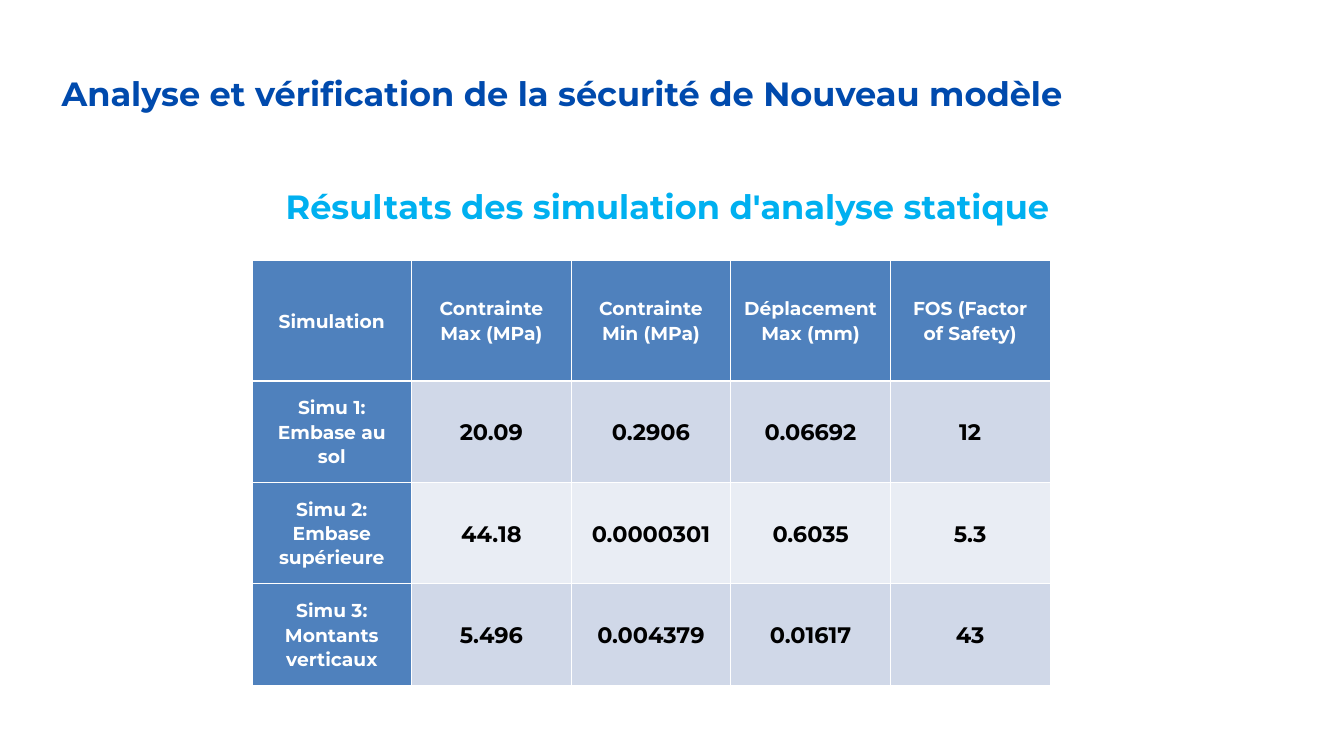
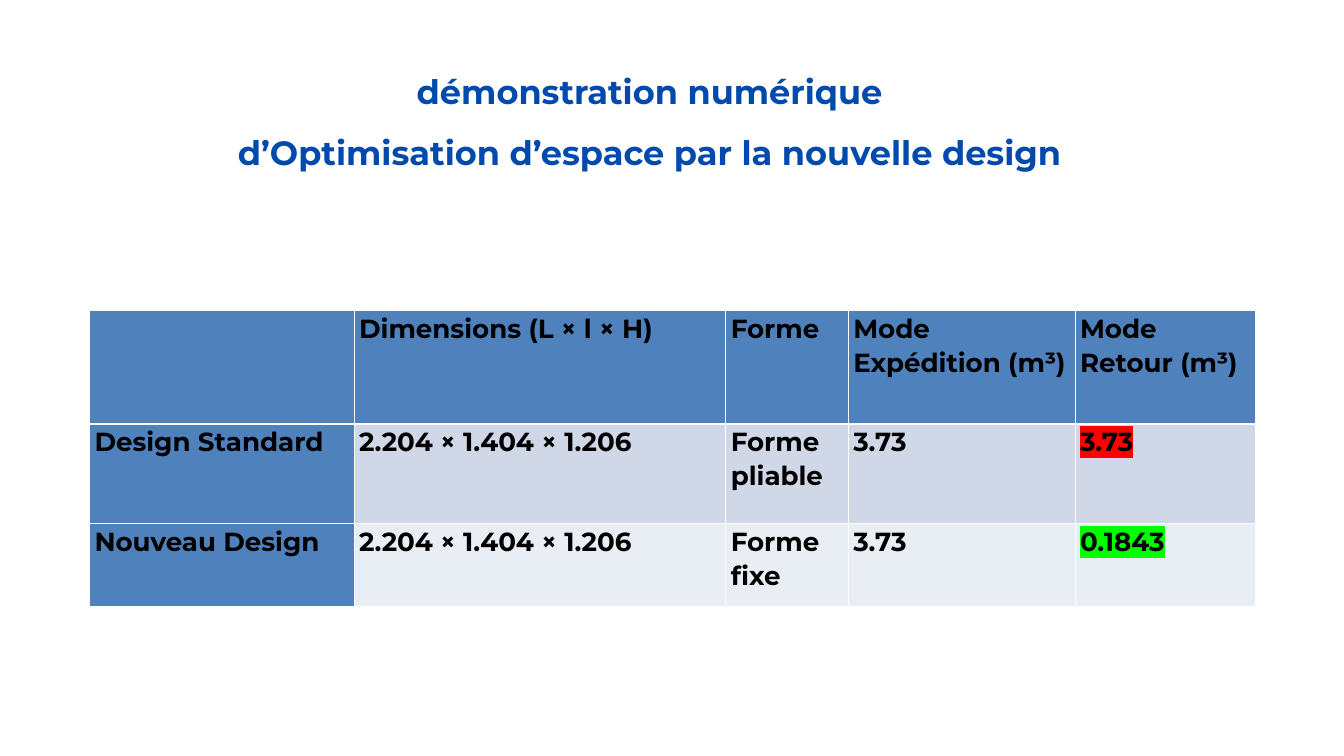
from dataclasses import dataclass

from lxml.etree import SubElement as Sub
from pptx import Presentation
from pptx.dml.color import RGBColor as RGB
from pptx.enum.text import MSO_ANCHOR as Anchor, MSO_AUTO_SIZE as Fit, PP_ALIGN as Align
from pptx.oxml.ns import qn
from pptx.util import Pt


@dataclass(frozen=True)
class Theme:
    font: str = "Montserrat"
    title: str = "004AAD"
    sub: str = "00B0F0"
    head: str = "4F81BD"
    bands: tuple = ("D0D8E8", "E9EDF4")
    white: str = "FFFFFF"
    black: str = "000000"
    bad: str = "FF0000"
    good: str = "00FF00"
    big: int = 36
    label: int = 20
    value: int = 24
    text: int = 28
    lead: float = 119.3
    line: int = 1
    rule: int = 3


T = Theme()
WIDE, HIGH = 1920, 1080


def px(n):
    return n * 9525


def put(obj, **vals):
    for name, val in vals.items():
        setattr(obj, name, val)


def place(shape, box):
    put(shape, **dict(zip(("left", "top", "width", "height"), map(px, box))))


def style(font, size, color):
    put(font, name=T.font, size=Pt(size), bold=True)
    font.color.rgb = RGB.from_string(color)


def mark(run, color):
    """Highlight a run; the element follows the text fill."""
    props = run.font._element
    tint = Sub(props, qn("a:highlight"))
    Sub(tint, qn("a:srgbClr"), val=color)
    props.find(qn("a:solidFill")).addnext(tint)


def edge(cell, widths):
    """Draw white cell borders, given as left, right, top, bottom."""
    props = cell._tc.get_or_add_tcPr()
    for side, width in zip("LRTB", widths):
        line = Sub(props, qn(f"a:ln{side}"), w=str(Pt(width)))
        fill = Sub(line, qn("a:solidFill"))
        Sub(fill, qn("a:srgbClr"), val=T.white)


# Headings: the first line has a fixed height, any later one is 1.5 high
def heading(shape, box, lines, color, align=Align.LEFT):
    place(shape, box)
    frame = shape.text_frame
    put(frame, word_wrap=True, auto_size=Fit.NONE, vertical_anchor=Anchor.TOP,
        margin_left=0, margin_top=0, margin_right=0, margin_bottom=0)
    frame.text = "\n".join(lines)
    for i, para in enumerate(frame.paragraphs):
        put(para, alignment=align, line_spacing=1.5 if i else Pt(T.lead))
        style(para.runs[0].font, T.big, color)


# Tables: blue head row and first column, banded body
def grid(slide, box, cols, rows, data, look, marks=None):
    table = slide.shapes.add_table(len(rows), len(cols), *map(px, box)).table
    table.first_col = True
    for col, width in zip(table.columns, cols):
        col.width = px(width)
    for row, height in zip(table.rows, rows):
        row.height = px(height)
    for r, texts in enumerate(data):
        for c, text in enumerate(texts):
            cell = table.cell(r, c)
            edge(cell, (T.line, T.line, T.rule if r == 1 else T.line,
                        T.line if r else T.rule))
            key = r == 0 or c == 0
            cell.fill.solid()
            cell.fill.fore_color.rgb = RGB.from_string(
                T.head if key else T.bands[(r - 1) % 2])
            side, tall = look["pad"]
            tall = tall if r else look["top"]
            put(cell, vertical_anchor=look["anchor"],
                margin_left=px(side), margin_right=px(side),
                margin_top=px(tall), margin_bottom=px(tall))
            if not text:
                continue
            cell.text = text
            para = cell.text_frame.paragraphs[0]
            put(para, alignment=look["align"], line_spacing=1.07, space_after=Pt(8))
            style(para.runs[0].font, *look["key" if key else "body"])
            if marks and (r, c) in marks:
                mark(para.runs[0], marks[r, c])


def safety(slide):
    heading(slide.shapes.title, (88, 3, WIDE - 88, 132),
            ["Analyse et vérification de la sécurité de Nouveau modèle"], T.title)
    heading(slide.shapes.add_textbox(0, 0, 0, 0), (408, 164, 1190, 130),
            ["Résultats des simulation d'analyse statique"], T.sub)
    cols, rows = [228] * 5, [172] + [145] * 3
    data = [
        ("Simulation", "Contrainte Max (MPa)", "Contrainte Min (MPa)",
         "Déplacement Max (mm)", "FOS (Factor of Safety)"),
        ("Simu 1: Embase au sol", "20.09", "0.2906", "0.06692", "12"),
        ("Simu 2: Embase supérieure", "44.18", "0.0000301", "0.6035", "5.3"),
        ("Simu 3: Montants verticaux", "5.496", "0.004379", "0.01617", "43"),
    ]
    look = dict(anchor=Anchor.MIDDLE, align=Align.CENTER, pad=(16, 8), top=16,
                key=(T.label, T.white), body=(T.value, T.black))
    grid(slide, (360, 372, sum(cols), sum(rows)), cols, rows, data, look)


def space(slide):
    heading(slide.shapes.title, (0, 0, 1856, 235),
            ["démonstration numérique",
             "d’Optimisation d’espace par la nouvelle design"],
            T.title, Align.CENTER)
    cols, rows = [378, 531, 175, 324, 257], [162, 142, 119]
    size = "2.204 × 1.404 × 1.206"
    data = [
        ("", "Dimensions (L × l × H)", "Forme", "Mode Expédition (m³)",
         "Mode Retour (m³)"),
        ("Design Standard", size, "Forme pliable", "3.73", "3.73"),
        ("Nouveau Design", size, "Forme fixe", "3.73", "0.1843"),
    ]
    look = dict(anchor=Anchor.TOP, align=Align.LEFT, pad=(7, 0), top=0,
                key=(T.text, T.black), body=(T.text, T.black))
    grid(slide, (128, 444, sum(cols), sum(rows)), cols, rows, data, look,
         {(1, 4): T.bad, (2, 4): T.good})


def main():
    deck = Presentation()
    put(deck, slide_width=px(WIDE), slide_height=px(HIGH))
    for build in (safety, space):
        build(deck.slides.add_slide(deck.slide_layouts[5]))
    deck.save("out.pptx")


if __name__ == "__main__":
    main()
